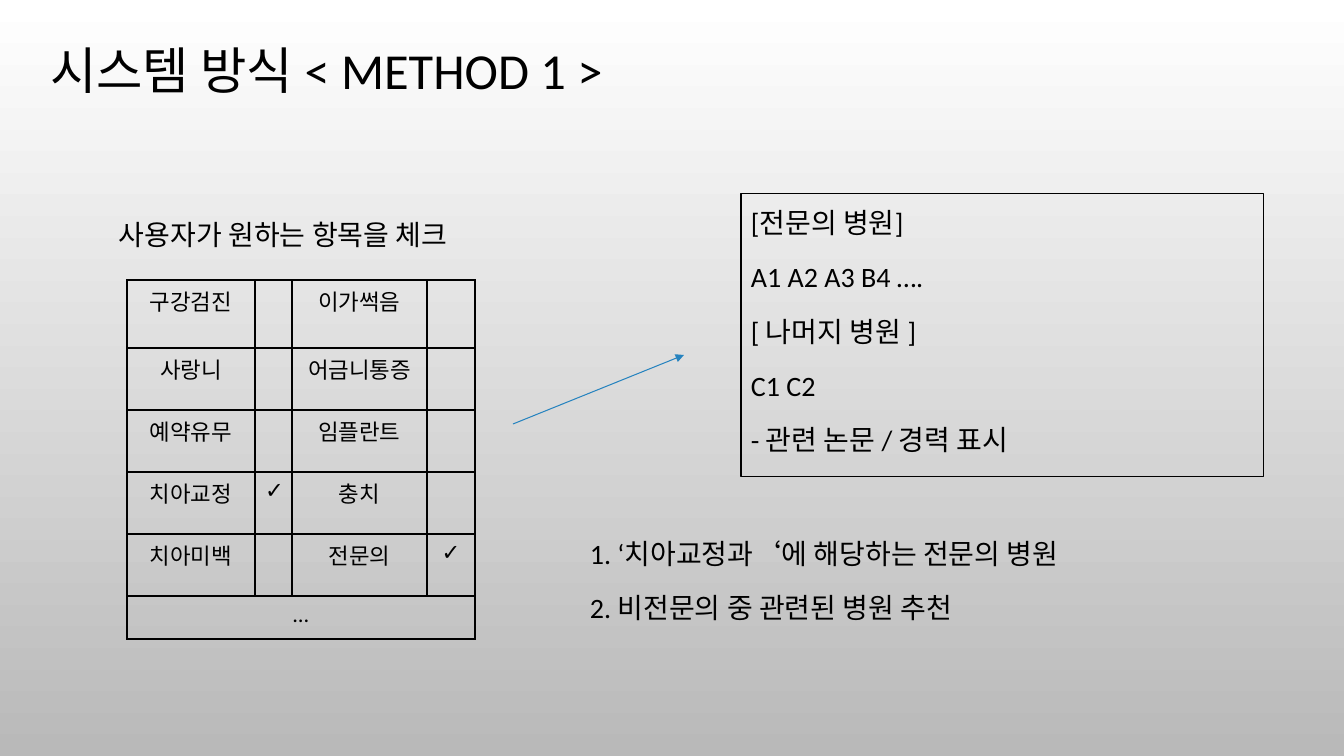
import pptx
import pptx.util
import pptx.dml.color
import pptx.enum.shapes
import pptx.enum.text
import pptx.oxml
import pptx.oxml.ns
import lxml.etree

SCALE = 914400 / 100.8
BLACK = "000000"
FACE = "Calibri"
BODY = {"line_spacing": 1.2, "space_before": pptx.util.Pt(10)}
MID = {"alignment": pptx.enum.text.PP_ALIGN.CENTER}
COLS = [128, 37, 135, 48]
ROWS = [68, 62, 62, 62, 62, 43]
ITEMS = [
    ["구강검진", "", "이가썩음", ""],
    ["사랑니", "", "어금니통증", ""],
    ["예약유무", "", "임플란트", ""],
    ["치아교정", "✓", "충치", ""],
    ["치아미백", "", "전문의", "✓"],
    ["…", "", "", ""],
]


def px(*nums):
    return [pptx.util.Emu(round(n * SCALE)) for n in nums]


def color(code):
    return pptx.dml.color.RGBColor.from_string(code)


def apply(item, form):
    for key, value in form.items():
        setattr(item, key, value)


def write(frame, lines, size, form):
    for i, line in enumerate(lines):
        para = frame.add_paragraph() if i else frame.paragraphs[0]
        apply(para, form)
        run = para.add_run()
        run.text = line
        apply(run.font, {"name": FACE, "size": pptx.util.Pt(size)})
        run.font.color.rgb = color(BLACK)


def stroke(line, code):
    line.color.rgb = color(code)
    line.width = pptx.util.Pt(0.75)


def add_text(slide, box, lines, size, form, anchor="TOP", edge=None):
    shape = slide.shapes.add_textbox(*px(*box))
    frame = shape.text_frame
    apply(frame, {"word_wrap": True,
                  "vertical_anchor": pptx.enum.text.MSO_ANCHOR[anchor]})
    write(frame, lines, size, form)
    if edge:
        stroke(shape.line, edge)


def add_arrow(slide, start, end, code):
    kind = pptx.enum.shapes.MSO_CONNECTOR.STRAIGHT
    arrow = slide.shapes.add_connector(kind, *px(*start, *end))
    stroke(arrow.line, code)
    tail = lxml.etree.SubElement(arrow.line._get_or_add_ln(),
                                 pptx.oxml.ns.qn("a:tailEnd"))
    tail.set("type", "triangle")
    lxml.etree.SubElement(arrow._element.spPr, pptx.oxml.ns.qn("a:effectLst"))


def add_edges(cell, code):
    props = cell._tc.get_or_add_tcPr()
    for i, side in enumerate(["lnL", "lnR", "lnT", "lnB"]):
        props.insert(i, pptx.oxml.parse_xml(
            f'<a:{side} {pptx.oxml.ns.nsdecls("a")} w="12700"><a:solidFill>'
            f'<a:srgbClr val="{code}"/></a:solidFill></a:{side}>'))


def add_grid(slide, left, top, items):
    box = px(left, top, sum(COLS), sum(ROWS))
    grid = slide.shapes.add_table(len(ROWS), len(COLS), *box).table
    apply(grid, {"first_row": False, "horz_banding": False})
    for col, width in zip(grid.columns, px(*COLS)):
        col.width = width
    for row, height in zip(grid.rows, px(*ROWS)):
        row.height = height
    for r, texts in enumerate(items):
        for c, text in enumerate(texts):
            cell = grid.cell(r, c)
            cell.fill.background()
            add_edges(cell, BLACK)
            if text:
                write(cell.text_frame, [text], 16, MID)
    last = len(ROWS) - 1
    grid.cell(last, 0).merge(grid.cell(last, len(COLS) - 1))


def shade(slide, codes):
    fill = slide.background.fill
    fill.gradient()
    fill.gradient_angle = 270
    for i, (stop, code) in enumerate(zip(fill.gradient_stops, codes)):
        stop.position = i
        stop.color.rgb = color(code)


def main():
    deck = pptx.Presentation()
    deck.slide_width, deck.slide_height = px(1344, 756)
    slide = deck.slides.add_slide(deck.slide_layouts[6])
    shade(slide, ["FFFFFF", "B9B9B9"])

    # Title
    add_text(slide, (29, 17, 1156, 113), [" 시스템 방식 < METHOD 1 >"], 36,
             {"line_spacing": 0.9}, "MIDDLE")

    # Hospital results
    add_text(slide, (741, 194, 523, 283),
             ["[전문의 병원]", "A1 A2 A3 B4 ….", "[ 나머지 병원 ]", "C1 C2",
              "- 관련 논문 / 경력 표시"], 20, BODY, edge=BLACK)
    add_arrow(slide, (513, 424), (684, 355), "2683BF")

    # Checklist
    add_grid(slide, 127, 280, ITEMS)
    add_text(slide, (109, 206, 423, 75), ["사용자가 원하는 항목을 체크"], 20, BODY)

    # Ranking rules
    add_text(slide, (580, 525, 692, 115),
             ["1. ‘치아교정과‘에 해당하는 전문의 병원",
              "2. 비전문의 중 관련된 병원 추천"], 20, BODY)

    deck.save("out.pptx")


if __name__ == "__main__":
    main()
